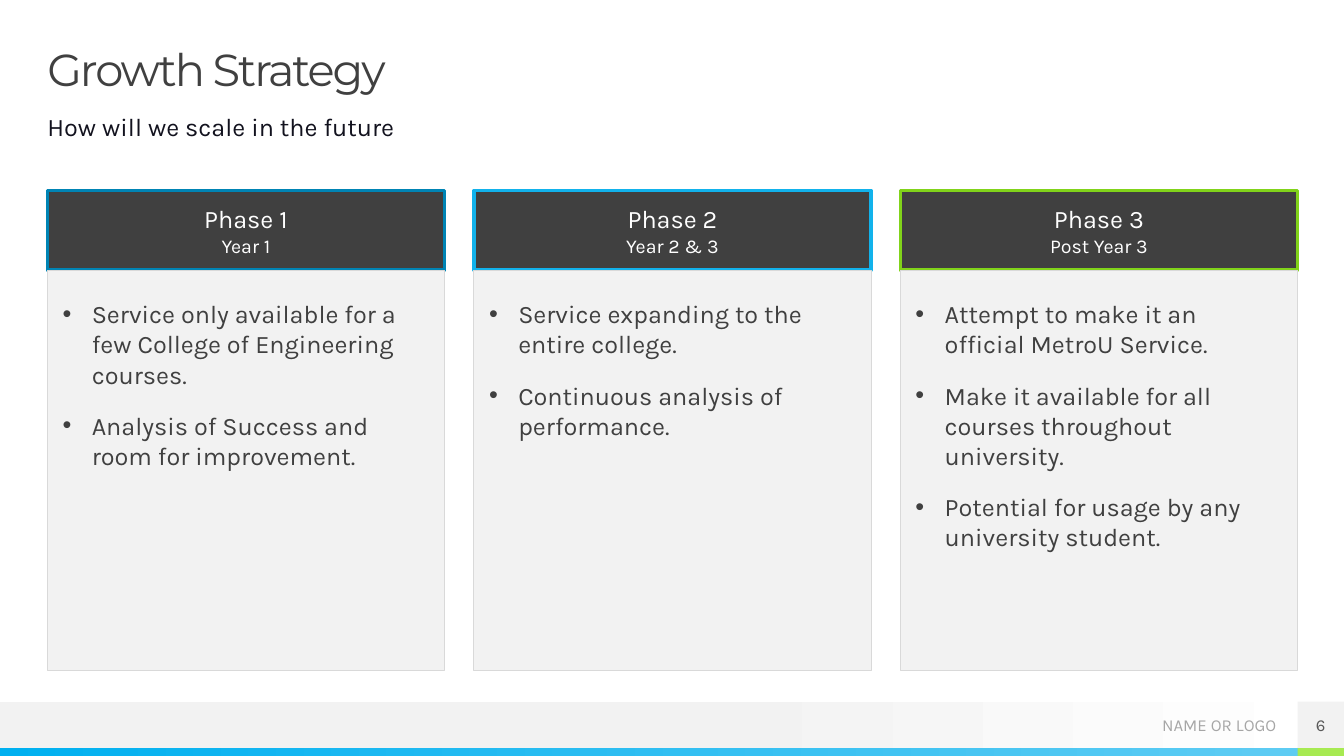
import pptx
import pptx.dml.color
import pptx.enum.shapes
import pptx.enum.text
import pptx.oxml
import pptx.oxml.ns
import pptx.util

PX = 9144  # EMU per px, 100 px to the inch
SLIDE_W, SLIDE_H = 1333, 750
MARGIN, CONTENT_W = 47, 1240
ALIGN = pptx.enum.text.PP_ALIGN
ANCHOR = pptx.enum.text.MSO_ANCHOR
DARK, PALE, WHITE = "404040", "F2F2F2", "FFFFFF"

PHASES = [
    ("Phase 1", "Year 1", "0084B4", [
        "Service only available for a few College of Engineering courses.",
        "Analysis of Success and room for improvement."]),
    ("Phase 2", "Year 2 & 3", "12B2EB", [
        "Service expanding to the entire college.",
        "Continuous analysis of performance."]),
    ("Phase 3", "Post Year 3", "81D31A", [
        "Attempt to make it an official MetroU Service.",
        "Make it available for all courses throughout university.",
        "Potential for usage by any university student."]),
]


def px(length):
    return pptx.util.Emu(round(length * PX))


def rgb(hex_colour):
    return pptx.dml.color.RGBColor.from_string(hex_colour)


def set_all(target, values):
    for name, value in values.items():
        setattr(target, name, value)


def place(shape, box):
    set_all(shape, dict(zip(("left", "top", "width", "height"), map(px, box))))


def paint(shape, fill, line=None, line_width=0.75):
    shape.fill.solid()
    shape.fill.fore_color.rgb = rgb(fill)
    if line:
        shape.line.color.rgb = rgb(line)
        shape.line.width = pptx.util.Pt(line_width)
    else:
        shape.line.fill.background()


def paint_gradient(shape, stops):
    shape.fill.gradient()
    shape.fill.gradient_angle = 0
    for stop, (position, colour) in zip(shape.fill.gradient_stops, stops):
        stop.position = position
        stop.color.rgb = rgb(colour)
    shape.line.fill.background()


def add_rect(slide, box):
    rect = slide.shapes.add_shape(
        pptx.enum.shapes.MSO_SHAPE.RECTANGLE, *map(px, box))
    rect.shadow.inherit = False
    return rect


def frame_text(shape, insets=(0, 0, 0, 0), anchor=ANCHOR.TOP):
    sides = ("margin_left", "margin_top", "margin_right", "margin_bottom")
    set_all(shape.text_frame, {
        "word_wrap": True, "auto_size": pptx.enum.text.MSO_AUTO_SIZE.NONE,
        "vertical_anchor": anchor, **dict(zip(sides, map(px, insets)))})
    return shape.text_frame


def write(paragraph, text, size, colour, font="Karla", align=ALIGN.LEFT,
          before=0, after=0, spacing=1.0):
    set_all(paragraph, {
        "alignment": align, "line_spacing": spacing,
        "space_before": pptx.util.Pt(before), "space_after": pptx.util.Pt(after)})
    run = paragraph.add_run()
    run.text = text
    set_all(run.font, {"name": font, "size": pptx.util.Pt(size), "bold": False})
    run.font.color.rgb = rgb(colour)
    return run


def add_bullet(paragraph, indent, colour):
    properties = paragraph._p.get_or_add_pPr()
    properties.set("marL", str(px(indent)))
    properties.set("indent", str(-px(indent)))
    namespace = pptx.oxml.ns.nsdecls("a")
    for xml in (f'<a:buClr {namespace}><a:srgbClr val="{colour}"/></a:buClr>',
                f'<a:buFont {namespace} typeface="Arial"/>',
                f'<a:buChar {namespace} char="•"/>'):
        properties.append(pptx.oxml.parse_xml(xml))


def fill_heading(title, subtitle, box):
    left, top, width, _ = box
    place(title, (left, top, width, 47))
    heading = write(frame_text(title).paragraphs[0], "Growth Strategy",
                    32, DARK, font="Montserrat", spacing=0.9)
    heading.font._element.set("spc", "-150")

    place(subtitle, (left, top + 63, width, 39))
    write(frame_text(subtitle).paragraphs[0], "How will we scale in the future",
          18, "12121E", before=10, after=5)


def fill_phase(slide, steps, box, phase):
    name, period, accent, items = phase
    left, top, width, height = box
    header_h = 79

    # Header with the phase and its period
    header = add_rect(slide, (left, top, width, header_h))
    paint(header, DARK, accent, 2.5)
    label = frame_text(header, (12, 4, 12, 4), ANCHOR.MIDDLE).paragraphs[0]
    write(label, name, 18, WHITE)
    label.add_line_break()
    write(label, period, 14, WHITE, align=ALIGN.CENTER, before=10, after=5)

    # Steps, which lie over the lower edge of the header
    place(steps, (left, top + header_h, width, height - header_h))
    paint(steps, PALE, "D9D9D9")
    frame = frame_text(steps, (15, 28, 15, 0))
    for number, item in enumerate(items):
        paragraph = frame.add_paragraph() if number else frame.paragraphs[0]
        write(paragraph, item, 18, DARK, before=10, after=5)
        add_bullet(paragraph, 29, DARK)
    steps._element.addprevious(header._element)


def add_footer(slide, box):
    left, top, width, height = box
    corner, stripe_h = 46, 8
    band_h, band_w = height - stripe_h, width - corner
    stripe_top = top + band_h

    # Band and stripes
    band = add_rect(slide, (left, top, width, band_h))
    paint_gradient(band, [(0.53, PALE), (1, WHITE)])
    stripe = add_rect(slide, (left, stripe_top, band_w, stripe_h))
    paint_gradient(stripe, [(0, "00B0F0"), (1, "5ECCF3")])
    paint(add_rect(slide, (left + band_w, stripe_top, corner, stripe_h)), "A7EA52")

    # Owner and page number
    owner = slide.shapes.add_textbox(
        *map(px, (left + band_w - 245, top, 224, band_h + 1)))
    write(frame_text(owner, anchor=ANCHOR.MIDDLE).paragraphs[0],
          "NAME OR LOGO", 12, "A6A6A6", align=ALIGN.RIGHT)
    page = add_rect(slide, (left + band_w, top, corner, band_h))
    paint(page, PALE)
    write(frame_text(page, anchor=ANCHOR.MIDDLE).paragraphs[0],
          "6", 12, "595959", align=ALIGN.CENTER)


def main():
    deck = pptx.Presentation()
    set_all(deck, {"slide_width": px(SLIDE_W), "slide_height": px(SLIDE_H)})
    slide = deck.slides.add_slide(deck.slide_layouts.get_by_name("Comparison"))
    title, subtitle, *step_lists = slide.placeholders

    fill_heading(title, subtitle, (MARGIN, 47, CONTENT_W, 102))

    column_w = 394
    pitch = (CONTENT_W - column_w) / (len(PHASES) - 1)
    for column, (steps, phase) in enumerate(zip(step_lists, PHASES)):
        box = (MARGIN + column * pitch, 189, column_w, 476)
        fill_phase(slide, steps, box, phase)

    add_footer(slide, (0, 696, SLIDE_W, 54))
    deck.save("out.pptx")


if __name__ == "__main__":
    main()
